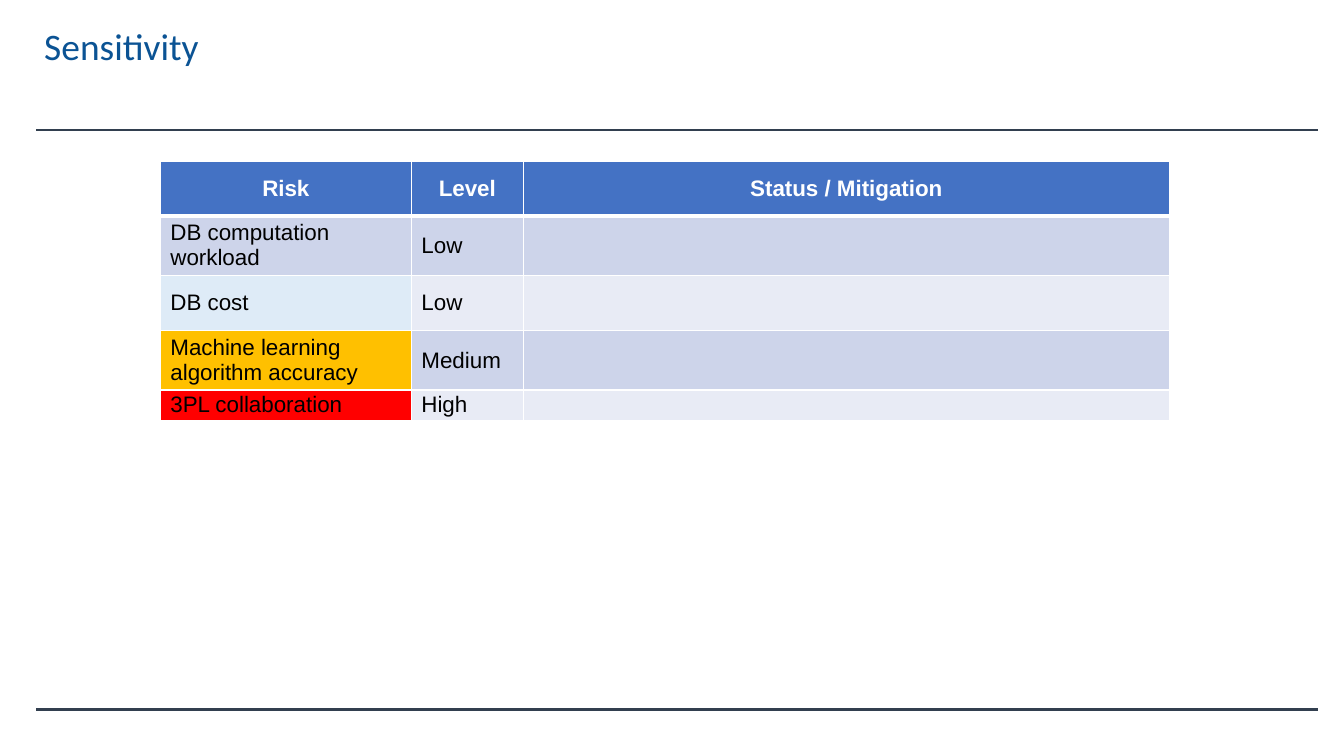
from lxml import etree
from pptx import Presentation
from pptx.dml.color import RGBColor
from pptx.enum import shapes, text
from pptx.oxml import ns
from pptx.util import Inches, Pt

TITLE = "Sensitivity"
HEADER = ("Risk", "Level", "Status / Mitigation")
WHITE = RGBColor(0xFF, 0xFF, 0xFF)
BLACK = RGBColor(0x00, 0x00, 0x00)
TITLE_BLUE = RGBColor(0x0B, 0x53, 0x94)
RULE_GREY = RGBColor(0x32, 0x3F, 0x4F)
HEADER_BLUE = RGBColor(0x44, 0x72, 0xC4)
BANDS = (RGBColor(0xCD, 0xD4, 0xEA), RGBColor(0xE8, 0xEB, 0xF5))
PALE_BLUE = RGBColor(0xDE, 0xEB, 0xF7)
AMBER = RGBColor(0xFF, 0xC0, 0x00)
RED = RGBColor(0xFF, 0x00, 0x00)

# Risk, level, status, fill of the risk cell
RISKS = [
    ("DB computation workload", "Low", "", BANDS[0]),
    ("DB cost", "Low", "", PALE_BLUE),
    ("Machine learning algorithm accuracy", "Medium", "", AMBER),
    ("3PL collaboration", "High", "", RED),
]
COLUMN_WIDTHS = (2.49, 1.11, 6.41)
ROW_HEIGHTS = (0.54, 0.59, 0.55, 0.59, 0.3)
TABLE_LEFT, TABLE_TOP = 1.59, 1.6
RULE_LEFT, RULE_RIGHT = 0.36, 13.07
RULE_TOPS = (1.29, 7.04)


def write(frame, words, size, font="Arial", color=BLACK, bold=False,
          align=text.PP_ALIGN.LEFT, spacing=None):
    paragraph = frame.paragraphs[0]
    paragraph.alignment = align
    paragraph.line_spacing = spacing
    run = paragraph.add_run()
    run.text = words
    run.font.name, run.font.size = font, Pt(size)
    run.font.bold, run.font.color.rgb = bold, color


def set_borders(cell, **widths):
    """Give the cell white borders; widths are points by side: L, R, T, B."""
    properties = cell._tc.get_or_add_tcPr()
    for position, (side, width) in enumerate(widths.items()):
        line = etree.Element(ns.qn(f"a:ln{side}"), w=str(Pt(width)))
        fill = etree.SubElement(line, ns.qn("a:solidFill"))
        etree.SubElement(fill, ns.qn("a:srgbClr"), val=str(WHITE))
        properties.insert(position, line)


def add_rule(slide, top):
    rule = slide.shapes.add_connector(
        shapes.MSO_CONNECTOR.STRAIGHT,
        Inches(RULE_LEFT), Inches(top), Inches(RULE_RIGHT), Inches(top))
    rule.line.color.rgb = RULE_GREY
    rule.line.width = Pt(1.75)
    etree.SubElement(rule._element.spPr, ns.qn("a:effectLst"))


def add_title(slide):
    box = slide.shapes.add_textbox(
        Inches(0.34), Inches(0.18), Inches(10.52), Inches(0.6))
    frame = box.text_frame
    frame.word_wrap = True
    frame.margin_left = frame.margin_right = Inches(0.1)
    frame.margin_top = frame.margin_bottom = Inches(0.1)
    write(frame, TITLE, 26.7, font="Calibri", color=TITLE_BLUE, spacing=0.9)


def add_risk_table(slide):
    table = slide.shapes.add_table(
        len(ROW_HEIGHTS), len(COLUMN_WIDTHS), Inches(TABLE_LEFT), Inches(TABLE_TOP),
        Inches(sum(COLUMN_WIDTHS)), Inches(sum(ROW_HEIGHTS))).table
    for column, width in zip(table.columns, COLUMN_WIDTHS):
        column.width = Inches(width)
    for row, height in zip(table.rows, ROW_HEIGHTS):
        row.height = Inches(height)

    rows = [HEADER] + [risk[:3] for risk in RISKS]
    for r, row in enumerate(rows):
        for c, words in enumerate(row):
            cell = table.cell(r, c)
            cell.vertical_anchor = text.MSO_ANCHOR.MIDDLE
            cell.margin_left = cell.margin_right = Inches(0.1)
            cell.margin_top = cell.margin_bottom = 0
            cell.fill.solid()
            if r == 0:
                cell.fill.fore_color.rgb = HEADER_BLUE
                write(cell.text_frame, words, 16, color=WHITE, bold=True,
                      align=text.PP_ALIGN.CENTER)
            else:
                band = BANDS[(r - 1) % 2]
                cell.fill.fore_color.rgb = RISKS[r - 1][3] if c == 0 else band
                write(cell.text_frame, words, 16)
            set_borders(cell, L=1, R=1, T=3 if r == 1 else 1, B=3 if r == 0 else 1)


def main():
    presentation = Presentation()
    presentation.slide_width = Inches(13.33)
    presentation.slide_height = Inches(7.5)
    slide = presentation.slides.add_slide(presentation.slide_layouts[6])
    for top in RULE_TOPS:
        add_rule(slide, top)
    add_title(slide)
    add_risk_table(slide)
    presentation.save("out.pptx")


if __name__ == "__main__":
    main()
